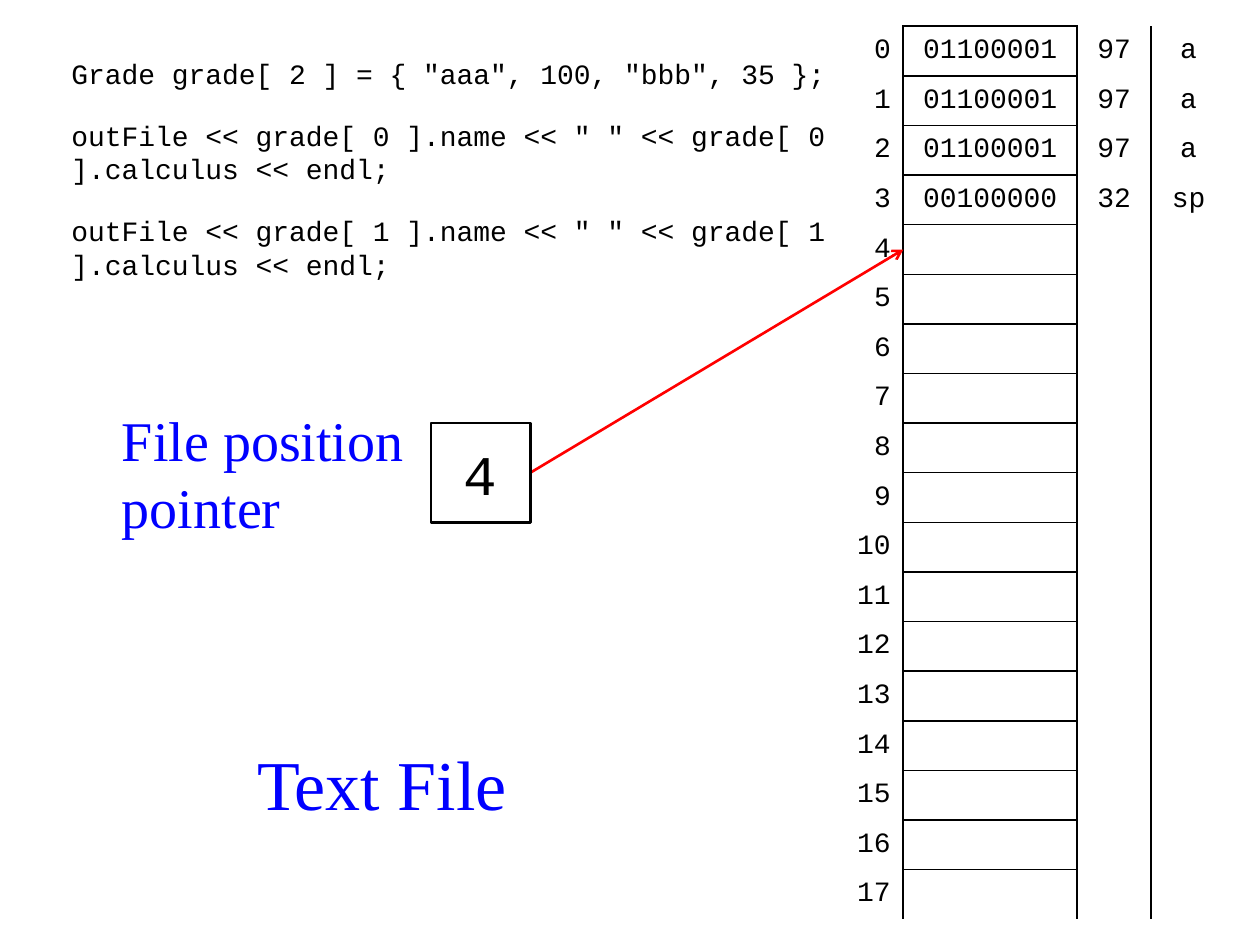
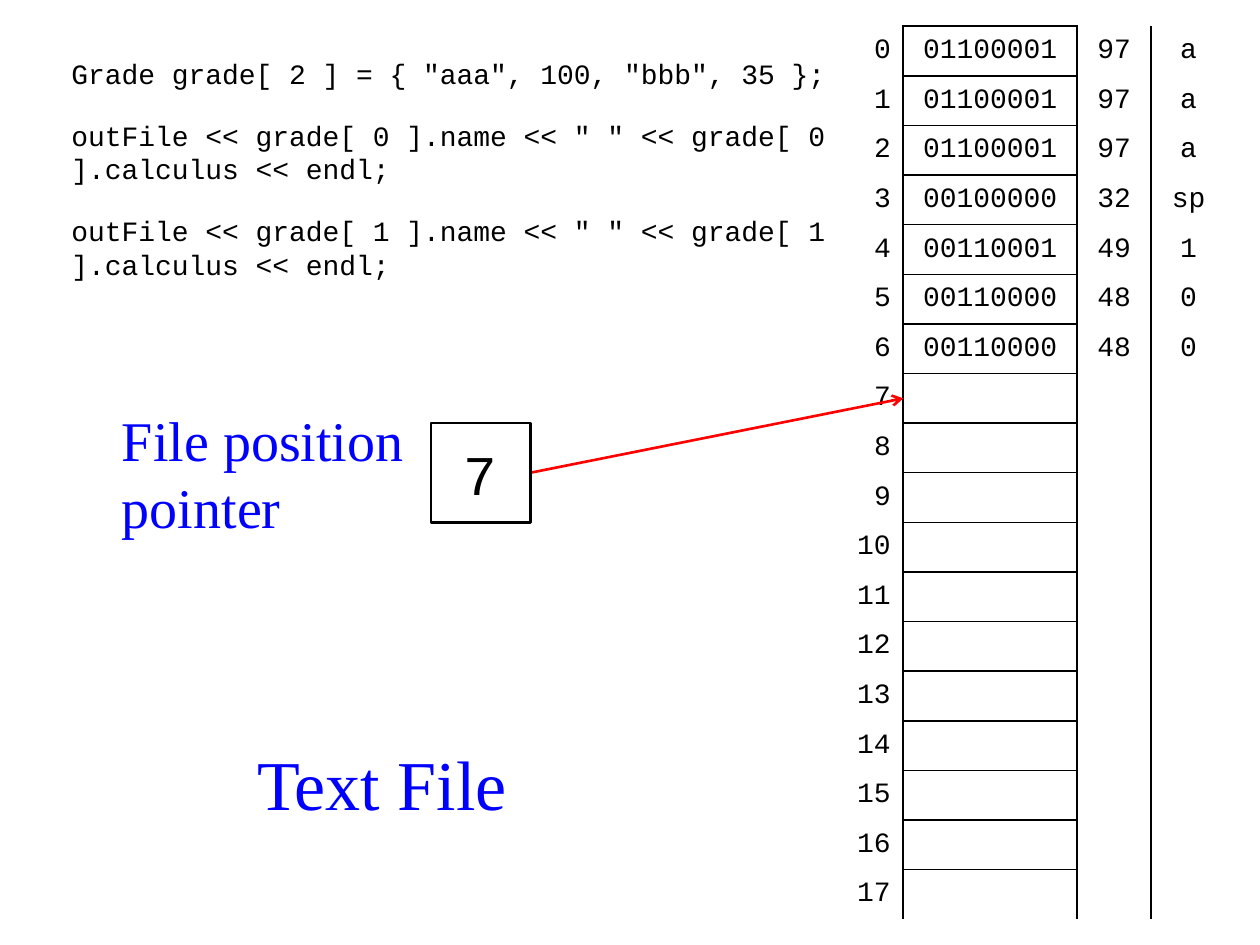
import pptx
import pptx.util
import pptx.dml.color
import pptx.enum.shapes
import pptx.enum.text
import pptx.oxml
import pptx.oxml.ns
from lxml import etree

Cm, Pt = pptx.util.Cm, pptx.util.Pt
RGB = pptx.dml.color.RGBColor
ALIGN = pptx.enum.text.PP_ALIGN
ANCHOR = pptx.enum.text.MSO_ANCHOR
qn = pptx.oxml.ns.qn

BLACK = RGB(0x00, 0x00, 0x00)
BLUE = RGB(0x00, 0x00, 0xFF)
RED = RGB(0xFF, 0x00, 0x00)
MONO, SERIF = "Courier New", "Times New Roman"
NO_STYLE = "{2D5ABB26-0587-4C30-8999-92F81FD0307C}"
THICK, THIN = 1.5, 1

# Boxes in cm: left, top, width, height
CODE_BOX = (1.19, 1.02, 16, 5)
LABEL_BOX = (2.21, 8.03, 6.5, 3)
POINTER_BOX = (8.69, 8.53, 2, 2)
TITLE_BOX = (4.7, 14.53, 6, 2.5)
MEMORY_BOX = (16.71, 0.53, 8, 18)
COLS = (1.5, 3.5, 1.5, 1.5)
ROWS = 18

CODE = [
    'Grade grade[ 2 ] = { "aaa", 100, "bbb", 35 };',
    'outFile << grade[ 0 ].name << " " << grade[ 0 ].calculus << endl;',
    'outFile << grade[ 1 ].name << " " << grade[ 1 ].calculus << endl;',
]
WRITTEN = ["aaa ", "aaa 100"]


def style(para, font, size, color, align=ALIGN.LEFT):
    para.alignment = align
    para.font.name = font
    para.font.size = Pt(size)
    para.font.color.rgb = color


def write(shape, lines, font, size, color, align=ALIGN.LEFT,
          anchor=ANCHOR.MIDDLE, gap=0):
    frame = shape.text_frame
    frame.word_wrap = True
    frame.vertical_anchor = anchor
    frame.text = "\n".join(lines)
    for i, para in enumerate(frame.paragraphs):
        style(para, font, size, color, align)
        if i:
            para.space_before = Pt(gap)


def add_text(slide, box, lines, *look, **more):
    shape = slide.shapes.add_textbox(*map(Cm, box))
    write(shape, lines, *look, **more)


def edge(cell, **sides):
    """Draw the named cell borders; sides come in the order L, R, T, B."""
    props = cell._tc.get_or_add_tcPr()
    for side, width in sides.items():
        line = etree.SubElement(props, qn("a:ln" + side), w=str(Pt(width)))
        fill = etree.SubElement(line, qn("a:solidFill"))
        etree.SubElement(fill, qn("a:srgbClr"), val=str(BLACK))


def memory(slide, box, text):
    """Table of bytes: address, bits, code and character."""
    table = slide.shapes.add_table(ROWS, len(COLS), *map(Cm, box)).table
    table._tbl.tblPr.find(qn("a:tableStyleId")).text = NO_STYLE
    table.first_row = table.horz_banding = False
    for col, width in zip(table.columns, COLS):
        col.width = Cm(width)
    for i, row in enumerate(table.rows):
        row.height = Cm(box[3] / ROWS)
        values = [str(i), "", "", ""]
        if i < len(text):
            code = ord(text[i])
            values[1:] = f"{code:08b}", str(code), text[i].replace(" ", "sp")
        for j, (cell, value) in enumerate(zip(row.cells, values)):
            cell.text = value
            cell.vertical_anchor = ANCHOR.MIDDLE
            cell.margin_top = cell.margin_bottom = 0
            style(cell.text_frame.paragraphs[0], MONO, 16, BLACK,
                  ALIGN.CENTER if j else ALIGN.RIGHT)
        # Only the bits are framed, and the last row stays open below
        edge(row.cells[0], R=THICK)
        edge(row.cells[1], L=THICK, R=THICK, T=THIN if i else THICK)
        if i < ROWS - 1:
            edge(row.cells[1], B=THIN)
        edge(row.cells[2], L=THICK)
        for cell in row.cells:
            cell.fill.background()


def arrow(slide, start, end):
    line = slide.shapes.add_connector(
        pptx.enum.shapes.MSO_CONNECTOR.STRAIGHT, *map(Cm, start + end))
    line.line.color.rgb = RED
    line.line.width = Pt(THICK)
    etree.SubElement(line.line._get_or_add_ln(), qn("a:tailEnd"), type="arrow")
    etree.SubElement(line._element.spPr, qn("a:effectLst"))


def pointer(slide, box, place):
    """Square with the current file position."""
    shape = slide.shapes.add_shape(
        pptx.enum.shapes.MSO_SHAPE.RECTANGLE, *map(Cm, box))
    shape.shadow.inherit = False
    shape.fill.background()
    shape.line.color.rgb = BLACK
    shape.line.width = Pt(THICK)
    write(shape, [str(place)], MONO, 32, BLACK, ALIGN.CENTER)


def file_slide(deck, text):
    slide = deck.slides.add_slide(deck.slide_layouts[6])
    place = len(text)
    memory(slide, MEMORY_BOX, text)
    add_text(slide, TITLE_BOX, ["Text File"], SERIF, 40, BLUE, ALIGN.CENTER)

    # Arrow from the pointer to the next free byte
    left, top, width, height = POINTER_BOX
    start = (left + width, top + height / 2)
    step = MEMORY_BOX[3] / ROWS
    end = (MEMORY_BOX[0] + COLS[0], MEMORY_BOX[1] + (place + 0.5) * step)
    arrow(slide, start, end)

    add_text(slide, CODE_BOX, CODE, MONO, 16, BLACK,
             anchor=ANCHOR.TOP, gap=16)
    pointer(slide, POINTER_BOX, place)
    add_text(slide, LABEL_BOX, ["File position", "pointer"], SERIF, 32, BLUE)


def main():
    deck = pptx.Presentation()
    deck.slide_width, deck.slide_height = Cm(25.4), Cm(19.05)
    for text in WRITTEN:
        file_slide(deck, text)
    deck.save("out.pptx")


if __name__ == "__main__":
    main()
